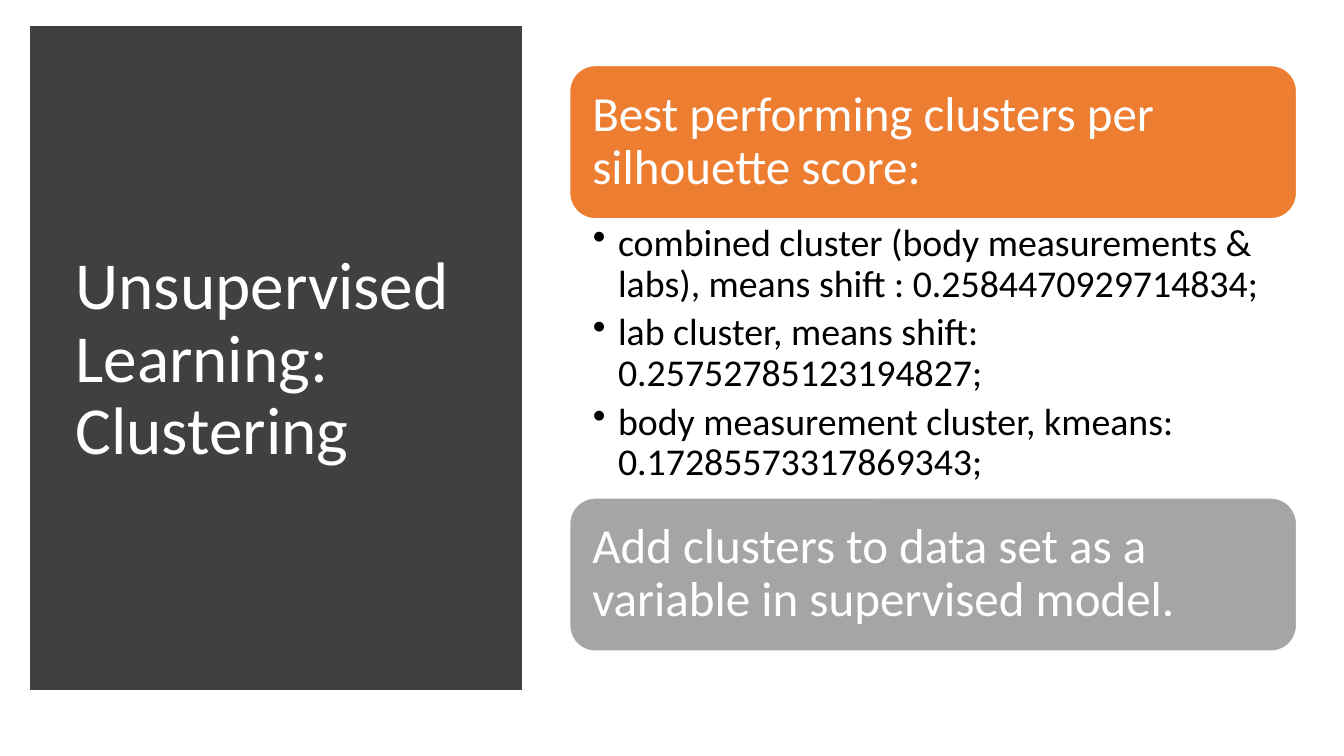
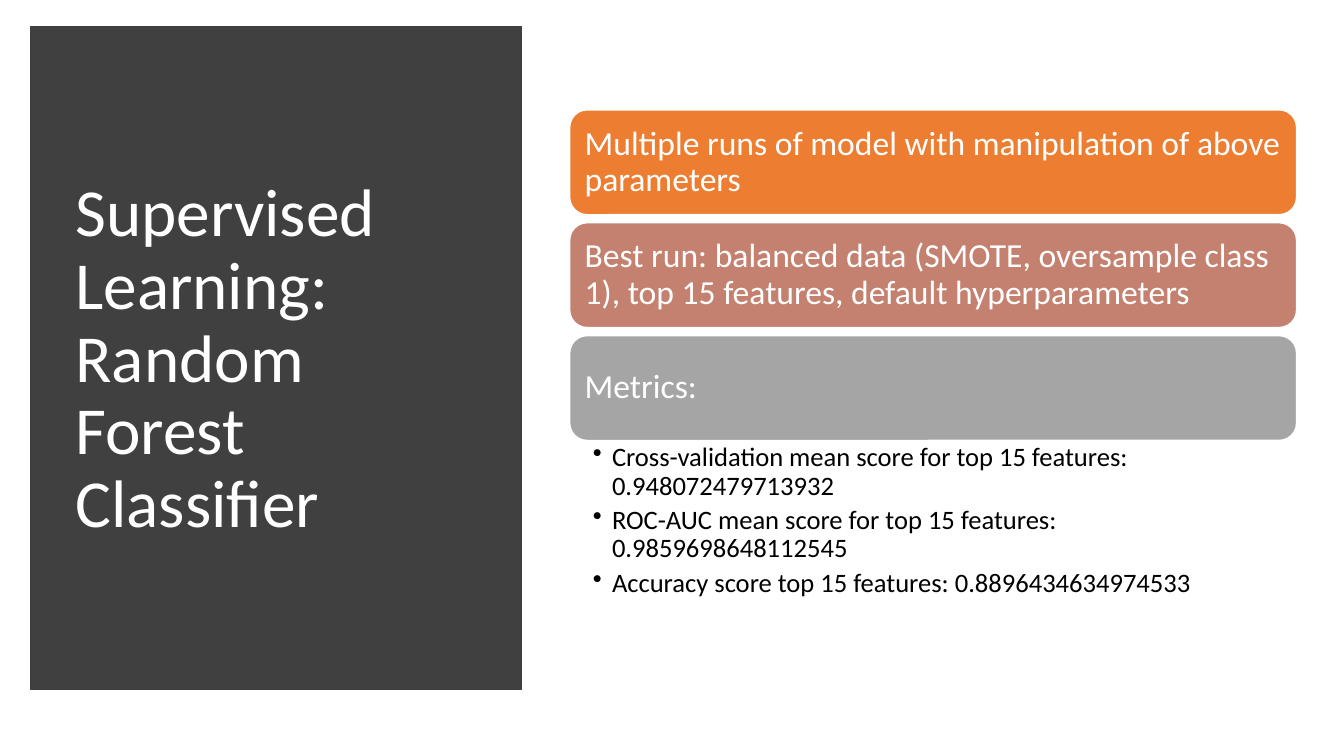
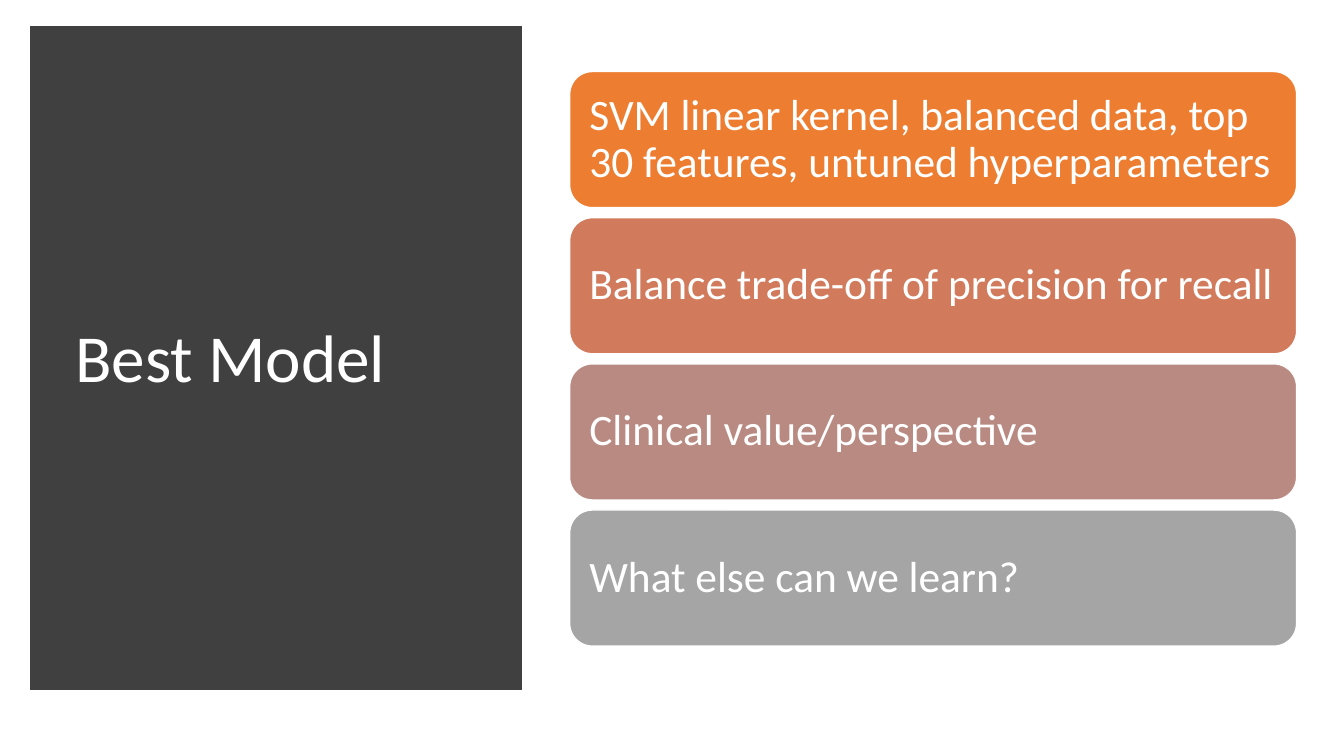
from pptx import Presentation
from pptx.dml.color import RGBColor
from pptx.enum.shapes import MSO_SHAPE as Shape
from pptx.enum.text import MSO_ANCHOR as Anchor, PP_ALIGN as Align
from pptx.oxml.ns import qn
from pptx.util import Inches, Pt
from lxml import etree

# Shared look
WHITE = RGBColor(0xFF, 0xFF, 0xFF)
BLACK = RGBColor(0x00, 0x00, 0x00)
CHARCOAL = RGBColor(0x40, 0x40, 0x40)
ORANGE = RGBColor(0xED, 0x7D, 0x31)
TERRACOTTA = RGBColor(0xD1, 0x7B, 0x5C)
CLAY = RGBColor(0xC4, 0x81, 0x70)
ROSE = RGBColor(0xB9, 0x8A, 0x82)
GRAY = RGBColor(0xA5, 0xA5, 0xA5)

FONT = "Calibri"
PANEL = [Inches(n) for n in (0.37, 0.33, 4.74, 6.45)]
TITLE = [Inches(n) for n in (0.65, 0.7, 4.16, 5.75)]
BAR_LEFT, BAR_WIDTH = Inches(5.65), Inches(7.21)

# Bars stand at equal steps; bullets hang below the bar numbered "under"
slides = [
    {
        "title": "Unsupervised Learning: \vClustering",
        "top": 0.65, "height": 1.52, "step": 4.29, "size": 35, "padding": 0.15,
        "bars": [
            ("Best performing clusters per silhouette score:", ORANGE),
            ("Add clusters to data set as a variable in supervised model.", GRAY),
        ],
        "bullets": {
            "under": 0, "height": 2.77, "size": 27, "indent": 0.25,
            "right": 0.27, "edge": 0.05,
            "lines": [
                "combined cluster (body measurements & labs), means shift : 0.2584470929714834;",
                "lab cluster, means shift: 0.25752785123194827;",
                "body measurement cluster, kmeans: 0.17285573317869343;",
            ],
        },
    },
    {
        "title": "Supervised Learning:\vRandom Forest Classifier",
        "top": 1.09, "height": 1.04, "step": 1.12, "size": 24, "padding": 0.1,
        "bars": [
            ("Multiple runs of model with manipulation of above parameters", ORANGE),
            ("Best run: balanced data (SMOTE, oversample class 1), top 15 features, "
             "default hyperparameters", CLAY),
            ("Metrics:", GRAY),
        ],
        "bullets": {
            "under": 2, "height": 1.66, "size": 19, "indent": 0.19,
            "right": 0.19, "edge": 0.03,
            "lines": [
                "Cross-validation mean score for top 15 features: 0.948072479713932",
                "ROC-AUC mean score for top 15 features: 0.9859698648112545",
                "Accuracy score top 15 features: 0.8896434634974533",
            ],
        },
    },
    {
        "title": "Best Model",
        "top": 0.71, "height": 1.35, "step": 1.45, "size": 31, "padding": 0.13,
        "bars": [
            ("SVM linear kernel, balanced data, top 30 features, "
             "untuned hyperparameters", ORANGE),
            ("Balance trade-off of precision for recall", TERRACOTTA),
            ("Clinical value/perspective", ROSE),
            ("What else can we learn?", GRAY),
        ],
    },
]


def add_block(slide, kind, box, fill, line, width):
    shape = slide.shapes.add_shape(kind, *box)
    shape.shadow.inherit = False
    shape.fill.solid()
    shape.fill.fore_color.rgb = fill
    shape.line.color.rgb = line
    shape.line.width = Pt(width)
    etree.SubElement(shape.element.spPr.find(qn("a:ln")), qn("a:miter"), lim="800000")
    return shape


def write(shape, lines, size, color, anchor, margins, indent=0):
    frame = shape.text_frame
    sides = ("margin_left", "margin_top", "margin_right", "margin_bottom")
    frame_format = {"word_wrap": True, "vertical_anchor": anchor}
    frame_format.update(zip(sides, map(Inches, margins)))
    for name, value in frame_format.items():
        setattr(frame, name, value)
    for index, text in enumerate(lines):
        paragraph = frame.paragraphs[0] if index == 0 else frame.add_paragraph()
        paragraph.text = text
        if indent:
            properties = paragraph._p.get_or_add_pPr()
            properties.set("marL", str(Inches(indent)))
            properties.set("indent", str(-Inches(indent)))
            etree.SubElement(properties, qn("a:buChar"), char="•")
            paragraph.space_after = Pt(round(size * 0.2, 1))
        paragraph.alignment = Align.LEFT
        paragraph.line_spacing = 0.9
        for run in paragraph.runs:
            for name, value in {"name": FONT, "size": Pt(size)}.items():
                setattr(run.font, name, value)
            run.font.color.rgb = color


presentation = Presentation()
presentation.slide_width = Inches(13.33)
presentation.slide_height = Inches(7.5)

for content in slides:
    slide = presentation.slides.add_slide(presentation.slide_layouts[6])

    # Title panel
    add_block(slide, Shape.RECTANGLE, PANEL, CHARCOAL, CHARCOAL, 10)
    title = slide.shapes.add_textbox(*TITLE)
    write(title, [content["title"]], 48, WHITE, Anchor.MIDDLE, (0.1, 0.05, 0.1, 0.05))

    # Bars
    padding = content["padding"]
    tops = [content["top"] + i * content["step"] for i in range(len(content["bars"]))]
    for top, (text, color) in zip(tops, content["bars"]):
        box = (BAR_LEFT, Inches(top), BAR_WIDTH, Inches(content["height"]))
        bar = add_block(slide, Shape.ROUNDED_RECTANGLE, box, color, WHITE, 1)
        write(bar, [text], content["size"], WHITE, Anchor.MIDDLE,
              (padding, padding, padding - 0.02, padding))

    # Bullets
    bullets = content.get("bullets")
    if bullets:
        top = tops[bullets["under"]] + content["height"]
        box = slide.shapes.add_textbox(BAR_LEFT, Inches(top), BAR_WIDTH,
                                       Inches(bullets["height"]))
        edge = bullets["edge"]
        write(box, bullets["lines"], bullets["size"], BLACK, Anchor.TOP,
              (0.23, edge, bullets["right"], edge), bullets["indent"])

presentation.save("out.pptx")
